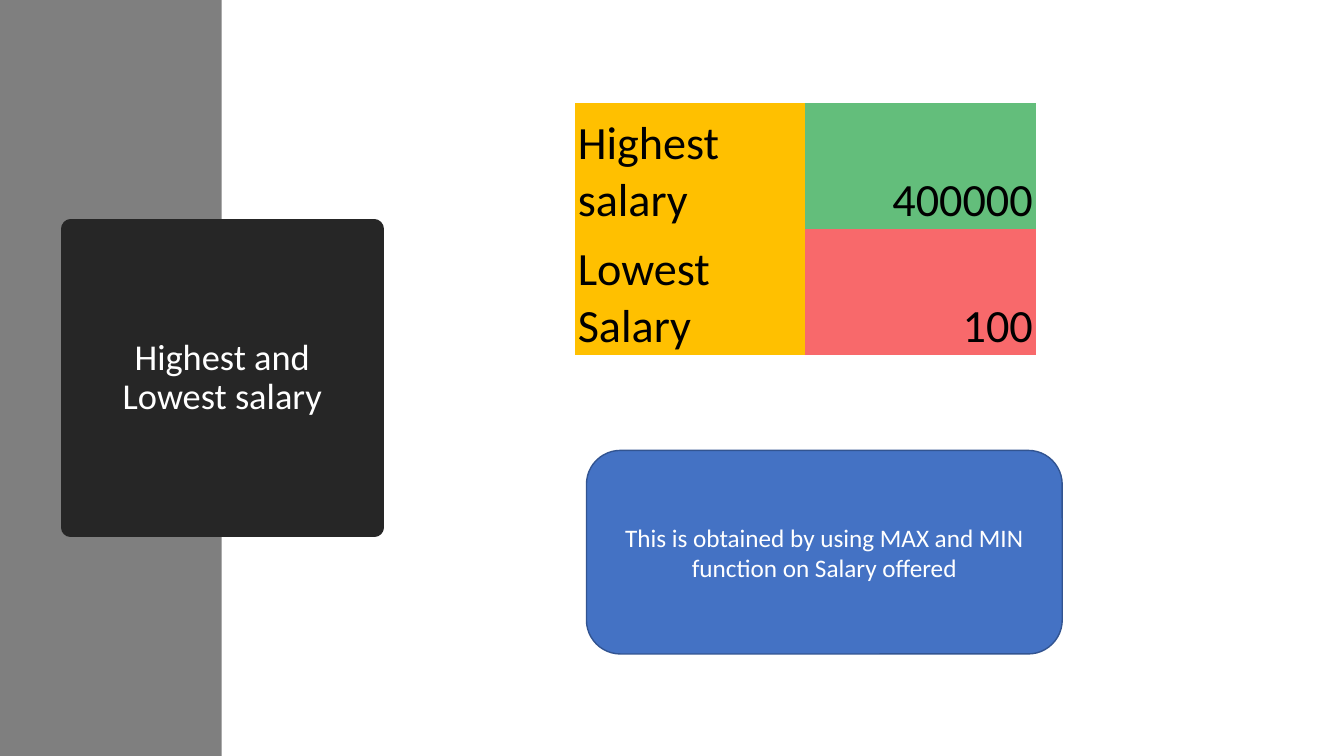
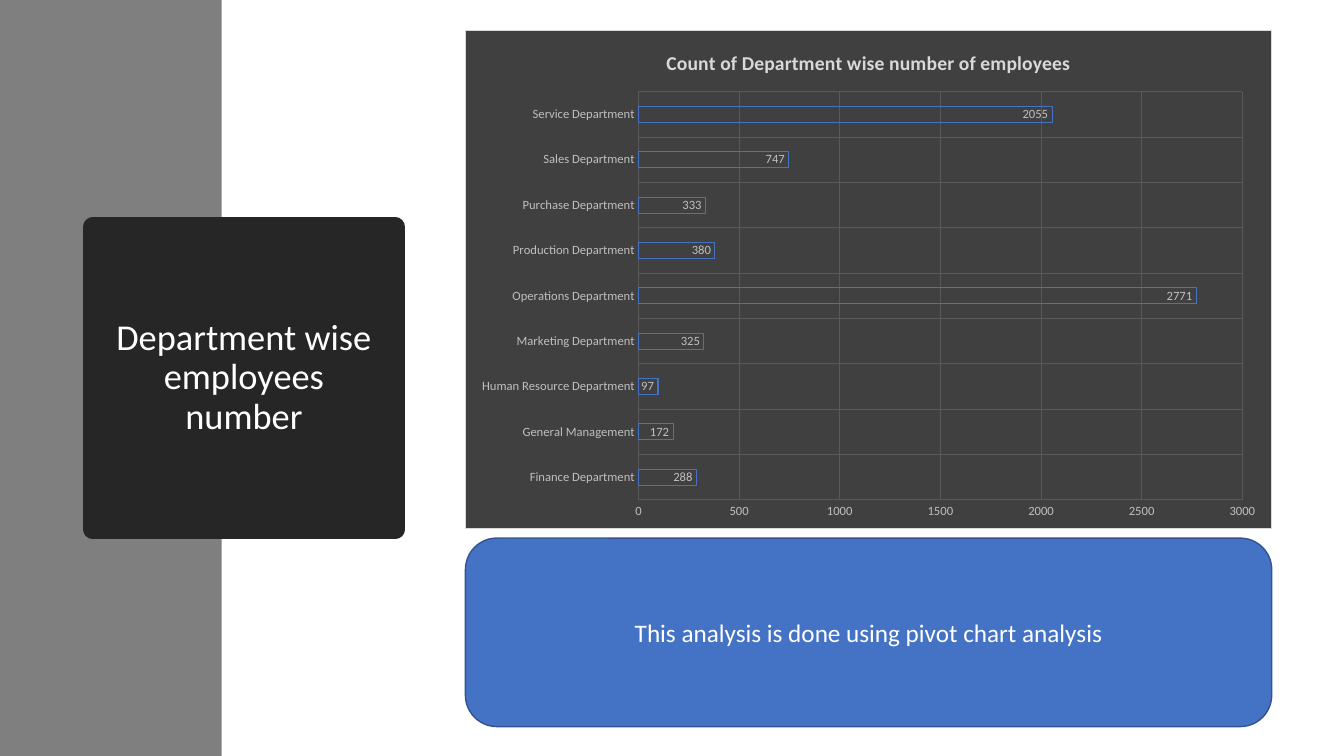
from dataclasses import dataclass

from lxml import etree
from pptx import Presentation
from pptx.chart.data import CategoryChartData
from pptx.dml.color import RGBColor
from pptx.enum.chart import XL_CHART_TYPE, XL_LABEL_POSITION, XL_TICK_MARK
from pptx.enum.shapes import MSO_SHAPE
from pptx.enum.text import MSO_ANCHOR, MSO_AUTO_SIZE, PP_ALIGN
from pptx.oxml import parse_xml
from pptx.oxml.ns import nsdecls, qn
from pptx.util import Cm, Pt

RECTANGLE = MSO_SHAPE.RECTANGLE
ROUNDED = MSO_SHAPE.ROUNDED_RECTANGLE
LEFT, CENTER, RIGHT = PP_ALIGN.LEFT, PP_ALIGN.CENTER, PP_ALIGN.RIGHT
MIDDLE, BOTTOM = MSO_ANCHOR.MIDDLE, MSO_ANCHOR.BOTTOM
NO_AUTOFIT = MSO_AUTO_SIZE.NONE
BAR_CLUSTERED = XL_CHART_TYPE.BAR_CLUSTERED
INSIDE_END = XL_LABEL_POSITION.INSIDE_END
NO_TICK = XL_TICK_MARK.NONE

FONT = "Calibri"
WHITE, BLACK = "FFFFFF", "000000"
BAND_GREY, TITLE_DARK = "7F7F7F", "262626"
BLUE, BLUE_EDGE = "4472C4", "325491"
GOLD, GREEN, RED = "FFC000", "63BE7B", "F8696B"
CHART_DARK, CHART_EDGE = "404040", "D9D9D9"
GRID_GREY, LABEL_GREY = "595959", "BFBFBF"
PLAIN_TABLE = "{2D5ABB26-0587-4C30-8999-92F81FD0307C}"
TITLE_ONLY = 5
PAGE_WIDTH, PAGE_HEIGHT = Cm(33.87), Cm(19.05)
BAND_WIDTH = Cm(5.59)


@dataclass(frozen=True)
class Box:
    left: float
    top: float
    width: float
    height: float

    def lengths(self) -> tuple:
        return Cm(self.left), Cm(self.top), Cm(self.width), Cm(self.height)


@dataclass(frozen=True)
class SalaryRow:
    label: str
    amount: int
    color: str


SALARIES = [
    SalaryRow("Highest salary", 400000, GREEN),
    SalaryRow("Lowest Salary", 100, RED),
]
EMPLOYEES = {
    "Finance Department": 288,
    "General Management": 172,
    "Human Resource Department": 97,
    "Marketing Department": 325,
    "Operations Department": 2771,
    "Production Department": 380,
    "Purchase Department": 333,
    "Sales Department": 747,
    "Service Department": 2055,
}


def rgb(color: str) -> RGBColor:
    return RGBColor.from_string(color)


def paint(target, color: str) -> None:
    target.fill.solid()
    target.fill.fore_color.rgb = rgb(color)


def outline(line, color: str, width: float) -> None:
    line.color.rgb = rgb(color)
    line.width = Pt(width)


def style_font(font, size: float, color: str, bold: bool = False) -> None:
    font.name = FONT
    font.size = Pt(size)
    font.bold = bold
    font.color.rgb = rgb(color)


def write(frame, text: str, *, size: float, color: str = WHITE,
          align=CENTER, spacing: float = 1.0, bold: bool = False) -> None:
    para = frame.paragraphs[0]
    para.alignment = align
    para.line_spacing = spacing
    span = para.add_run()
    span.text = text
    style_font(span.font, size, color, bold)


def add_band(page):
    band = page.shapes.add_shape(RECTANGLE, 0, 0, BAND_WIDTH, PAGE_HEIGHT)
    band.shadow.inherit = False
    paint(band, BAND_GREY)
    band.line.fill.background()
    return band


def add_page(deck, heading: str, box: Box):
    page = deck.slides.add_slide(deck.slide_layouts[TITLE_ONLY])
    title = page.shapes.title
    title.left, title.top, title.width, title.height = box.lengths()
    paint(title, TITLE_DARK)
    outline(title.line, TITLE_DARK, 13.75)
    etree.SubElement(title.element.spPr.find(qn("a:ln")), qn("a:round"))
    frame = title.text_frame
    frame.word_wrap = True
    frame.auto_size = NO_AUTOFIT
    frame.vertical_anchor = MIDDLE
    frame.margin_left = frame.margin_right = Cm(0.4)
    write(frame, heading, size=26, spacing=0.9)
    title.element.addprevious(add_band(page).element)
    return page


def add_note(page, text: str, box: Box) -> None:
    note = page.shapes.add_shape(ROUNDED, *box.lengths())
    note.shadow.inherit = False
    paint(note, BLUE)
    outline(note.line, BLUE_EDGE, 1)
    note.text_frame.word_wrap = True
    note.text_frame.vertical_anchor = MIDDLE
    write(note.text_frame, text, size=18)


def fill_cell(cell, text: str, color: str, align) -> None:
    paint(cell, color)
    cell.vertical_anchor = BOTTOM
    cell.margin_left = cell.margin_right = cell.margin_top = Cm(0.08)
    cell.margin_bottom = 0
    write(cell.text_frame, text, size=33, color=BLACK, align=align)


def add_salary_table(page, rows: list[SalaryRow], box: Box) -> None:
    holder = page.shapes.add_table(len(rows), 2, *box.lengths())
    table = holder.table
    table.first_row = table.horz_banding = False
    for style in holder.element.iter(qn("a:tableStyleId")):
        style.text = PLAIN_TABLE
    for index, row in enumerate(rows):
        fill_cell(table.cell(index, 0), row.label, GOLD, LEFT)
        fill_cell(table.cell(index, 1), str(row.amount), row.color, RIGHT)


def style_axis(axis) -> None:
    axis.major_tick_mark = axis.minor_tick_mark = NO_TICK
    axis.has_major_gridlines = True
    outline(axis.major_gridlines.format.line, GRID_GREY, 0.75)
    axis.format.line.fill.background()
    style_font(axis.tick_labels.font, 9, LABEL_GREY)


def paint_chart_area(chart) -> None:
    area = parse_xml(
        f'<c:spPr {nsdecls("c", "a")}>'
        f'<a:solidFill><a:srgbClr val="{CHART_DARK}"/></a:solidFill>'
        f'<a:ln w="{Pt(0.75)}"><a:solidFill><a:srgbClr val="{CHART_EDGE}"/>'
        '</a:solidFill></a:ln></c:spPr>'
    )
    chart.element.find(qn("c:chart")).addnext(area)


def add_employee_chart(page, heading: str, counts: dict[str, int], box: Box) -> None:
    data = CategoryChartData()
    data.categories = list(counts)
    data.add_series("Series 1", list(counts.values()))
    chart = page.shapes.add_chart(BAR_CLUSTERED, *box.lengths(), data).chart
    style_font(chart.font, 10, BLACK)
    paint_chart_area(chart)
    chart.has_legend = False
    chart.has_title = True
    write(chart.chart_title.text_frame, heading, size=14, color=CHART_EDGE, bold=True)
    chart.chart_title.include_in_layout = False
    style_axis(chart.category_axis)
    style_axis(chart.value_axis)

    plot = chart.plots[0]
    plot.gap_width = 182
    plot.overlap = -50
    plot.vary_by_categories = False
    bars = plot.series[0]
    bars.format.fill.background()
    outline(bars.format.line, BLUE, 0.75)
    labels = bars.data_labels
    labels.show_value = True
    labels.position = INSIDE_END
    style_font(labels.font, 9, LABEL_GREY)


def main() -> None:
    deck = Presentation()
    deck.slide_width, deck.slide_height = PAGE_WIDTH, PAGE_HEIGHT

    salary_page = add_page(deck, "Highest and Lowest salary", Box(1.78, 5.77, 7.65, 7.52))
    add_salary_table(salary_page, SALARIES, Box(14.48, 2.59, 11.63, 6.35))
    add_note(salary_page, "This is obtained by using MAX and MIN function on Salary offered",
             Box(14.78, 11.35, 11.99, 5.13))

    employee_page = add_page(deck, "Department wise employees number",
                             Box(2.34, 5.72, 7.62, 7.62))
    add_employee_chart(employee_page, "Count of Department wise number of employees",
                       EMPLOYEES, Box(11.73, 0.76, 20.32, 12.57))
    add_note(employee_page, "This analysis is done using pivot chart analysis",
             Box(11.73, 13.56, 20.32, 4.75))

    deck.save("out.pptx")


if __name__ == "__main__":
    main()
